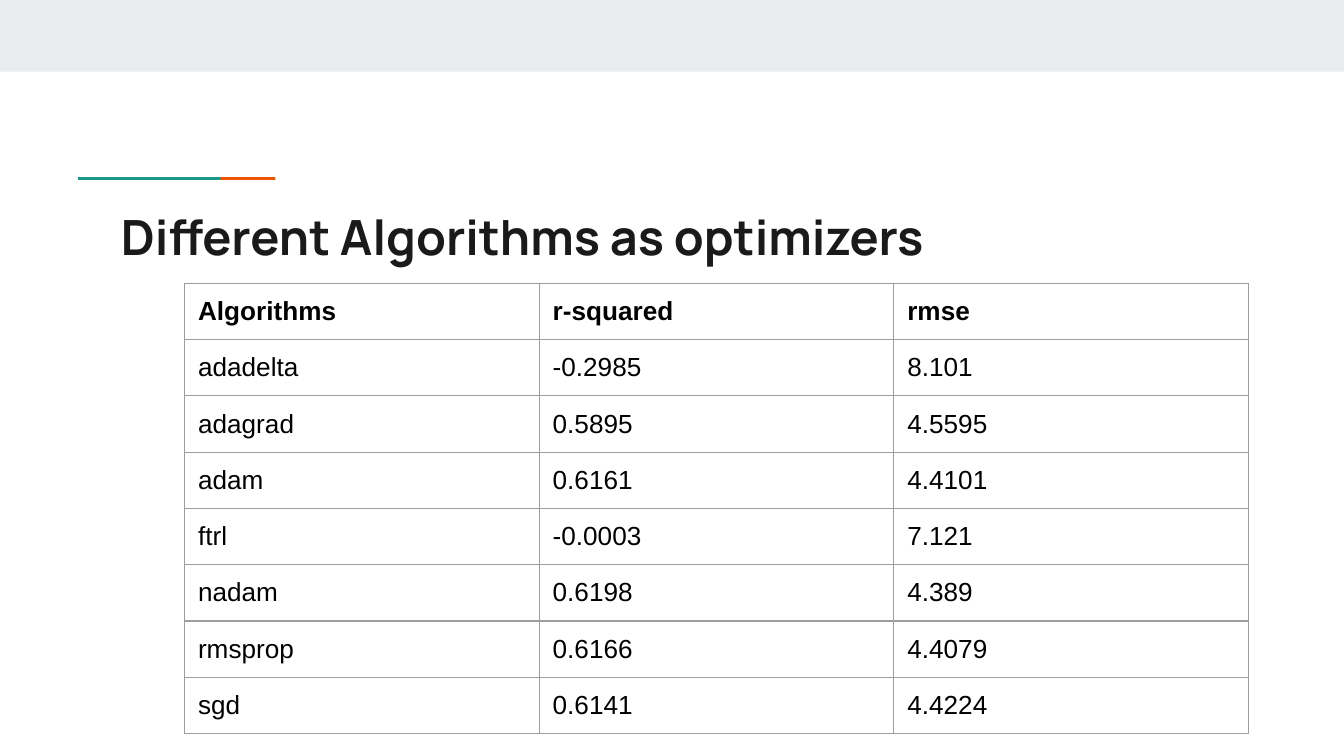
"""Build the slide that compares optimizer algorithms in a table."""
from typing import Any, NamedTuple

from lxml.etree import SubElement
from pptx import Presentation
from pptx.dml.color import RGBColor
from pptx.enum.shapes import MSO_SHAPE
from pptx.enum.text import MSO_ANCHOR, MSO_AUTO_SIZE, PP_ALIGN
from pptx.oxml.ns import qn
from pptx.util import Pt


class Bar(NamedTuple):
    left: float
    top: float
    width: float
    height: float
    color: str
    rotation: float = 0


class Style(NamedTuple):
    name: str
    size: float
    bold: bool
    color: str


BARS = [
    Bar(0, 0, 720, 38.4, "E9EDEE"),
    Bar(108.5, 57.4, 1.6, 76.4, "EB5600", 270),
    Bar(79.2, 57.4, 1.6, 76.4, "1A9988", 270),
]
TITLE = Style("Manrope", 26, True, "1A1A1A")
HEADER = Style("Arial", 14, True, "000000")
BODY = HEADER._replace(bold=False)
INSETS = {f"margin_{side}": Pt(7.2) for side in ("left", "top", "right", "bottom")}
ROWS = [
    ("Algorithms", "r-squared", "rmse"),
    ("adadelta", "-0.2985", "8.101"),
    ("adagrad", "0.5895", "4.5595"),
    ("adam", "0.6161", "4.4101"),
    ("ftrl", "-0.0003", "7.121"),
    ("nadam", "0.6198", "4.389"),
    ("rmsprop", "0.6166", "4.4079"),
    ("sgd", "0.6141", "4.4224"),
]
COL_WIDTH, ROW_HEIGHT = 190, 30.1


def rgb(color: str) -> RGBColor:
    return RGBColor.from_string(color)


def apply(target: Any, values: dict[str, Any]) -> None:
    for name, value in values.items():
        setattr(target, name, value)


def write(p: Any, text: str, style: Style) -> None:
    p.alignment = PP_ALIGN.LEFT
    r = p.add_run()
    r.text = text
    apply(r.font, {"name": style.name, "size": Pt(style.size), "bold": style.bold})
    r.font.color.rgb = rgb(style.color)


def draw_bar(s: Any, bar: Bar) -> None:
    box = [Pt(v) for v in bar[:4]]
    sp = s.shapes.add_shape(MSO_SHAPE.RECTANGLE, *box)
    sp.rotation = bar.rotation
    sp.shadow.inherit = False
    sp.fill.solid()
    sp.fill.fore_color.rgb = rgb(bar.color)
    sp.line.fill.background()


def draw_title(s: Any, text: str) -> None:
    sp = s.shapes.title
    apply(sp, {"left": Pt(57.6), "top": Pt(103.7), "width": Pt(605.5), "height": Pt(42.5)})
    tf = sp.text_frame
    apply(tf, INSETS | {"word_wrap": True, "auto_size": MSO_AUTO_SIZE.NONE,
                        "vertical_anchor": MSO_ANCHOR.TOP})
    write(tf.paragraphs[0], text, TITLE)


def add_borders(cell: Any, color: str, width: float) -> None:
    pr = cell._tc.get_or_add_tcPr()
    for tag in ("a:lnL", "a:lnR", "a:lnT", "a:lnB"):
        line = SubElement(pr, qn(tag), w=str(Pt(width)))
        fill = SubElement(line, qn("a:solidFill"))
        SubElement(fill, qn("a:srgbClr"), val=color)


def draw_table(s: Any, rows: list[tuple[str, ...]]) -> None:
    n_cols = len(rows[0])
    table = s.shapes.add_table(len(rows), n_cols, Pt(98.9), Pt(151.75),
                               Pt(COL_WIDTH * n_cols), Pt(ROW_HEIGHT * len(rows))).table
    apply(table, {"first_row": False, "horz_banding": False})
    for col in table.columns:
        col.width = Pt(COL_WIDTH)
    for i, row in enumerate(rows):
        table.rows[i].height = Pt(ROW_HEIGHT)
        for j, text in enumerate(row):
            cell = table.cell(i, j)
            apply(cell, INSETS | {"vertical_anchor": MSO_ANCHOR.TOP})
            add_borders(cell, "9E9E9E", 0.75)
            cell.fill.background()
            write(cell.text_frame.paragraphs[0], text, BODY if i else HEADER)


def main() -> None:
    prs = Presentation()
    apply(prs, {"slide_width": Pt(720), "slide_height": Pt(405)})
    s = prs.slides.add_slide(prs.slide_layouts[5])
    for bar in BARS:
        draw_bar(s, bar)
    draw_title(s, "Different Algorithms as optimizers")
    draw_table(s, ROWS)
    prs.save("out.pptx")


if __name__ == "__main__":
    main()
